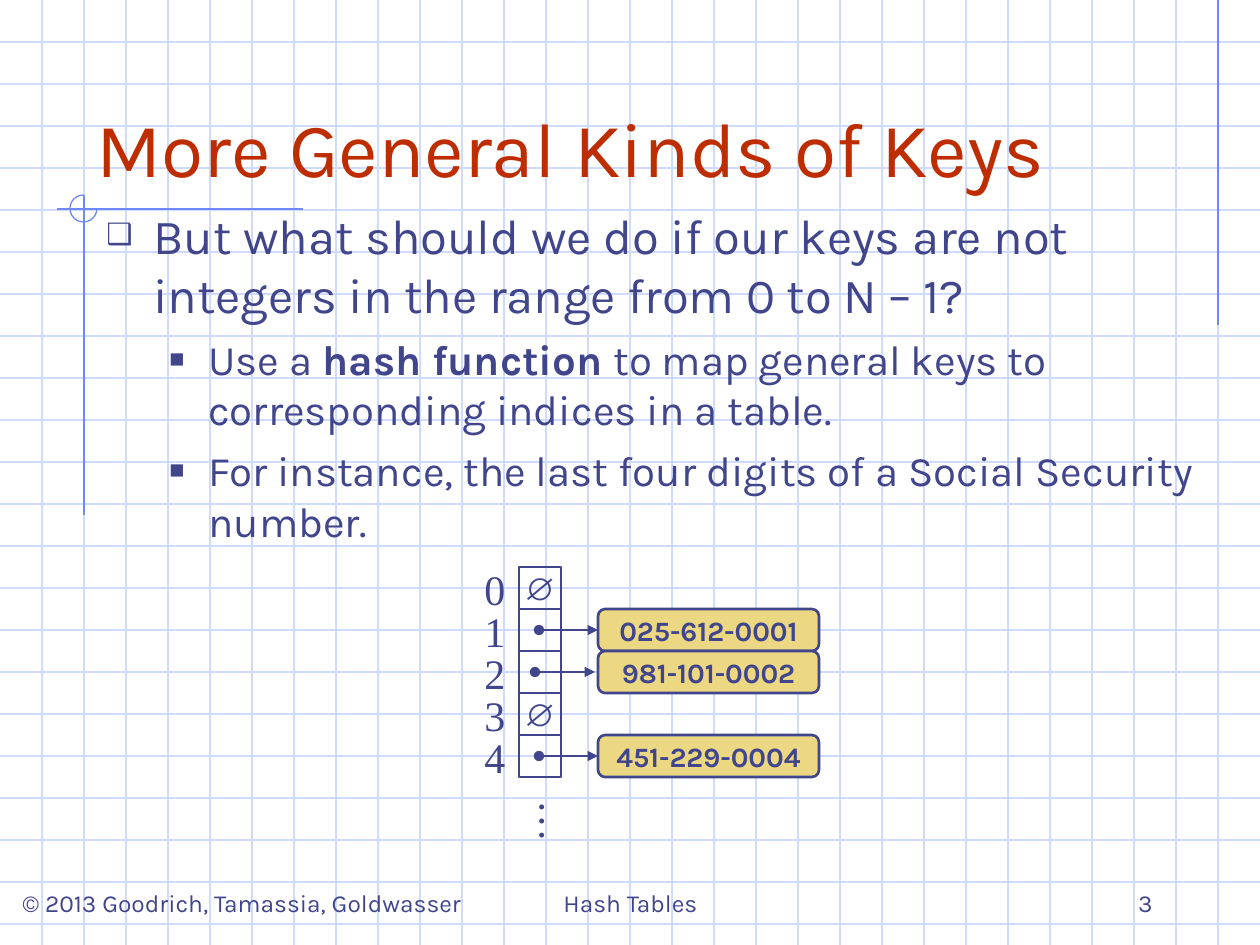
from lxml.etree import SubElement
from pptx import Presentation
from pptx.dml.color import RGBColor
from pptx.enum.shapes import MSO_CONNECTOR, MSO_SHAPE
from pptx.enum.text import MSO_ANCHOR, PP_ALIGN
from pptx.oxml.ns import qn
from pptx.util import Pt

WIDE, HIGH = 1260, 945
STEP = 42
INK = {"grid": "CFDBFD", "trim": "6F89F7", "title": "BE2D00",
       "text": "40458C", "key": "ECD882"}
KEYS = {1: "025-612-0001", 2: "981-101-0002", 4: "451-229-0004"}


def px(num):
    return round(num * 914400 / 126)


def tint(name):
    return RGBColor.from_string(INK[name])


def rule(slide, x1, y1, x2, y2, name, width=0.75):
    line = slide.shapes.add_connector(
        MSO_CONNECTOR.STRAIGHT, px(x1), px(y1), px(x2), px(y2))
    line.line.color.rgb = tint(name)
    line.line.width = Pt(width)
    SubElement(line._element.spPr, qn("a:effectLst"))
    return line


def arrow(slide, x1, x2, y):
    """Draw a pointer with a dot at its start and a triangle at its end."""
    line = rule(slide, x1, y, x2, y, "text", 1.5)
    pen = line.line._get_or_add_ln()
    SubElement(pen, qn("a:headEnd"), type="oval")
    SubElement(pen, qn("a:tailEnd"), type="triangle")
    return line


def shape(slide, kind, x, y, w, h, line="text", width=1.5, fill=None):
    item = slide.shapes.add_shape(kind, px(x), px(y), px(w), px(h))
    item.shadow.inherit = False
    item.line.color.rgb = tint(line)
    item.line.width = Pt(width)
    if fill:
        item.fill.solid()
        item.fill.fore_color.rgb = tint(fill)
    else:
        item.fill.background()
    frame = item.text_frame
    frame.word_wrap = False
    frame.vertical_anchor = MSO_ANCHOR.MIDDLE
    return item


def run(para, text, size, font="Karla", name="text", bold=False):
    part = para.add_run()
    part.text = text
    part.font.size = Pt(size)
    part.font.name = font
    part.font.bold = bold
    part.font.color.rgb = tint(name)


def label(frame, text, size, align=PP_ALIGN.CENTER, **style):
    para = frame.paragraphs[0]
    para.alignment = align
    run(para, text, size, **style)


def box(slide, x, y, w, h, anchor=MSO_ANCHOR.TOP, wrap=True):
    item = slide.shapes.add_textbox(px(x), px(y), px(w), px(h))
    item.text_frame.word_wrap = wrap
    item.text_frame.vertical_anchor = anchor
    return item


def bullet(para, char, left, hang):
    prop = para._p.get_or_add_pPr()
    prop.set("marL", str(px(left)))
    prop.set("indent", str(px(-hang)))
    SubElement(SubElement(prop, qn("a:buClr")), qn("a:srgbClr"), val=INK["text"])
    SubElement(prop, qn("a:buSzPct"), val="60000")
    SubElement(prop, qn("a:buFont"), typeface="Arial")
    SubElement(prop, qn("a:buChar"), char=char)


def backdrop(slide):
    for y in range(STEP, HIGH, STEP):
        rule(slide, 0, y, WIDE, y, "grid")
    for x in range(STEP, WIDE, STEP):
        rule(slide, x, 0, x, HIGH, "grid")
    rule(slide, 1218, 0, 1218, 325, "trim")
    rule(slide, 303, 209, 57, 209, "trim")
    rule(slide, 84, 195, 84, 515, "trim")
    arc = shape(slide, MSO_SHAPE.ARC, 70, 195, 27, 27, "trim", 0.75)
    arc.adjustments[0] = 0
    arc.adjustments[1] = 162  # 270 degrees


def body(slide):
    frame = box(slide, 94, 199, 1124, 683).text_frame
    first = frame.paragraphs[0]
    bullet(first, "❑", 47, 47)
    run(first, "But what should we do if our keys are not integers "
        "in the range from 0 to N – 1?", 28)
    points = [
        [("Use a ", False), ("hash function ", True),
         ("to map general keys to corresponding indices in a table.", False)],
        [("For instance, the last four digits of a Social Security number.",
          False)],
    ]
    for point in points:
        para = frame.add_paragraph()
        para.level = 1
        bullet(para, "■", 102, 39)
        para.space_before = Pt(6)
        for text, bold in point:
            run(para, text, 24, bold=bold)


def footer(slide):
    for x, w, text, align in [
        (10, 494, "© 2013 Goodrich, Tamassia, Goldwasser", PP_ALIGN.LEFT),
        (431, 399, "Hash Tables", PP_ALIGN.CENTER),
        (903, 262, "3", PP_ALIGN.RIGHT),
    ]:
        note = box(slide, x, 861, w, 63, MSO_ANCHOR.BOTTOM)
        label(note.text_frame, text, 14, align)


def table(slide):
    """Draw the bucket array, its indices and the keys it points to."""
    serif = "Times New Roman"
    for row in range(5):
        top = 567 + row * STEP
        cell = shape(slide, MSO_SHAPE.RECTANGLE, 519, top, STEP, STEP)
        index = box(slide, 472, top - 10, 45, 63, wrap=False)
        label(index.text_frame, str(row), 24, font=serif)
        if row not in KEYS:
            label(cell.text_frame, "∅", 18, font="Arial")
            continue
        key = shape(slide, MSO_SHAPE.ROUNDED_RECTANGLE, 598, top, 221, STEP,
                    fill="key")
        label(key.text_frame, KEYS[row], 16, bold=True)
        mid = top + STEP // 2
        if row == 2:
            arrow(slide, 535, 595, mid)
        else:
            arrow(slide, 539, 598, mid).end_connect(key, 1)
    dots = box(slide, 523, 790, 67, 63, wrap=False)
    dots.rotation = 90
    label(dots.text_frame, "…", 24, font=serif)


def main():
    deck = Presentation()
    deck.slide_width, deck.slide_height = px(WIDE), px(HIGH)
    slide = deck.slides.add_slide(deck.slide_layouts[6])
    backdrop(slide)
    title = box(slide, 84, 42, 1102, 157, MSO_ANCHOR.BOTTOM)
    label(title.text_frame, "More General Kinds of Keys", 44, PP_ALIGN.LEFT,
          name="title")
    body(slide)
    footer(slide)
    table(slide)
    deck.save("out.pptx")


if __name__ == "__main__":
    main()
